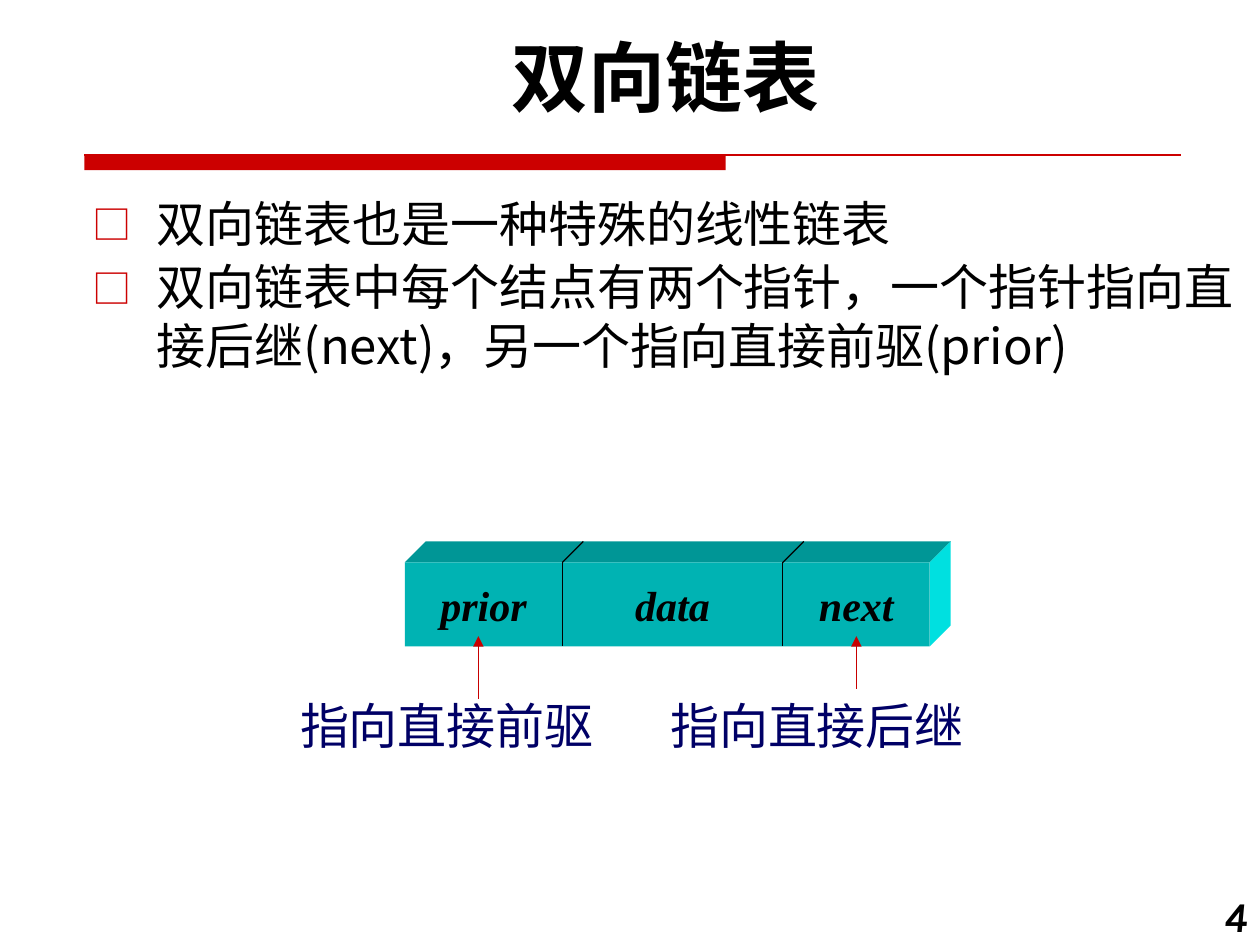
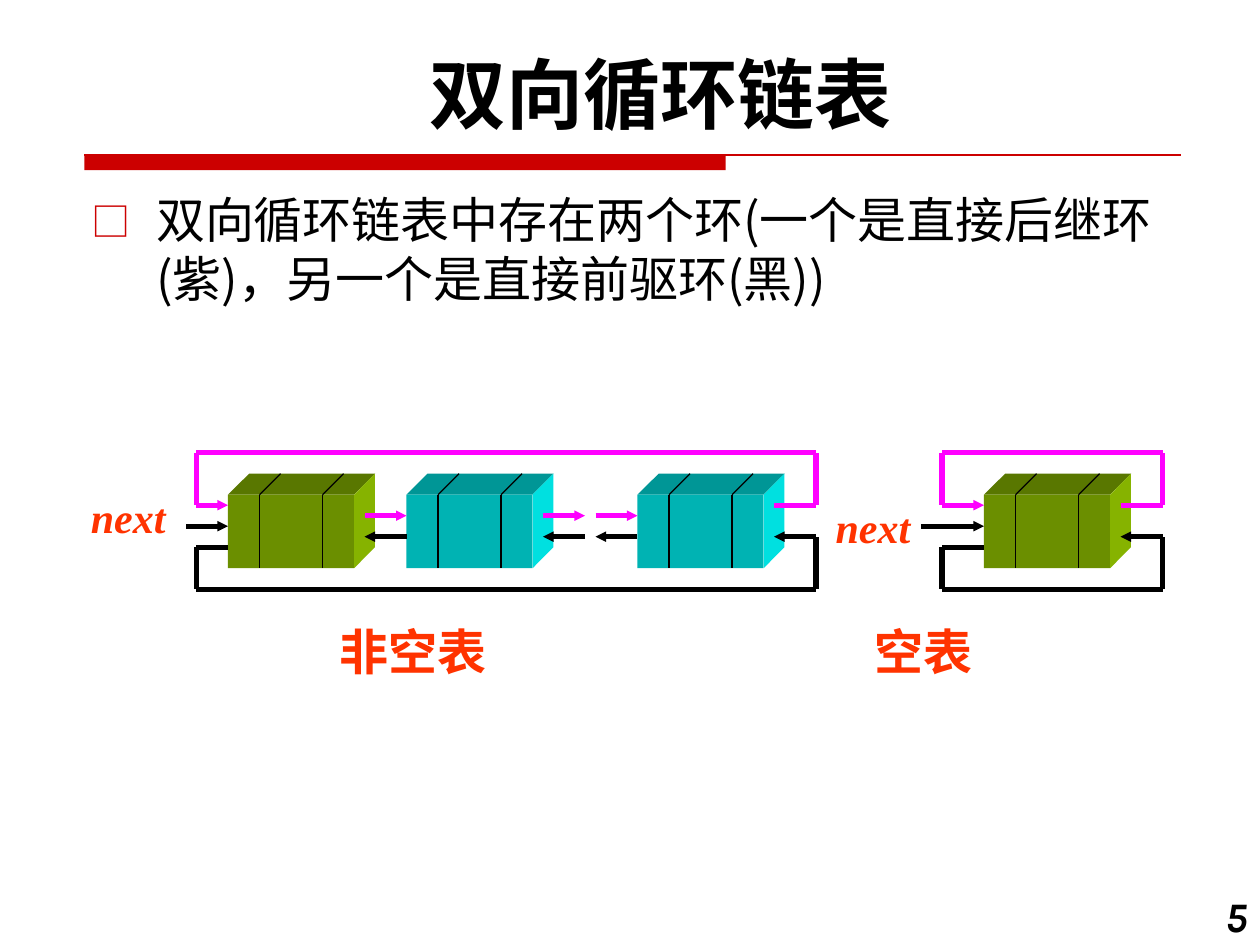
from itertools import accumulate, pairwise

from lxml import etree
from pptx import Presentation
from pptx.dml.color import RGBColor
from pptx.enum.shapes import MSO_CONNECTOR, MSO_SHAPE
from pptx.enum.text import MSO_ANCHOR, MSO_AUTO_SIZE, PP_ALIGN
from pptx.oxml.ns import qn
from pptx.util import Pt

STRAIGHT = MSO_CONNECTOR.STRAIGHT
RECTANGLE = MSO_SHAPE.RECTANGLE
MIDDLE = MSO_ANCHOR.MIDDLE
NO_AUTOFIT = MSO_AUTO_SIZE.NONE
LEFT, CENTER, RIGHT = PP_ALIGN.LEFT, PP_ALIGN.CENTER, PP_ALIGN.RIGHT

BLACK, RED, ARROW_RED = "000000", "CC0000", "C80000"
NAVY, ORANGE, MAGENTA = "000066", "FF3300", "FF00FF"
TEAL = {"front": "00B3B3", "top": "009696", "side": "00E0E0"}
GREEN = {"front": "6B8F00", "top": "597700", "side": "86B300"}
KARLA, CJK, TIMES = "Karla", "Noto Sans CJK SC", "Times New Roman"
DEPTH = 12


def color(hex_string):
    return RGBColor.from_string(hex_string)


def add_run(paragraph, text, size, font, fill, bold=False, italic=False):
    run = paragraph.add_run()
    run.text = text
    run.font.size = Pt(size)
    run.font.name = font
    run.font.bold = bold
    run.font.italic = italic
    run.font.color.rgb = color(fill)
    latin = run.font._element.find(qn("a:latin"))
    latin.addnext(latin.makeelement(qn("a:ea"), {"typeface": CJK}))


def place(shape, left, top, width, height):
    shape.left, shape.top = Pt(left), Pt(top)
    shape.width, shape.height = Pt(width), Pt(height)


def paint(shape, fill):
    shape.shadow.inherit = False
    shape.fill.solid()
    shape.fill.fore_color.rgb = color(fill)
    shape.line.fill.background()


def add_block(slide, left, top, width, height, fill):
    shape = slide.shapes.add_shape(RECTANGLE, Pt(left), Pt(top), Pt(width), Pt(height))
    paint(shape, fill)


def add_face(slide, points, fill):
    start, *rest = [(Pt(x), Pt(y)) for x, y in points]
    builder = slide.shapes.build_freeform(*start)
    builder.add_line_segments(rest, close=True)
    paint(builder.convert_to_shape(), fill)


def add_line(slide, start, end, fill=BLACK, width=0.75, arrow=None):
    connector = slide.shapes.add_connector(STRAIGHT, *map(Pt, (*start, *end)))
    connector.line.color.rgb = color(fill)
    connector.line.width = Pt(width)
    properties = connector._element.spPr
    if arrow:
        etree.SubElement(properties.find(qn("a:ln")), qn("a:tailEnd"),
                         type="triangle", w=arrow, len=arrow)
    etree.SubElement(properties, qn("a:effectLst"))


def add_route(slide, points, fill):
    segments = list(pairwise(points))
    for start, end in segments[:-1]:
        add_line(slide, start, end, fill, 3)
    add_line(slide, *segments[-1], fill, 3, "sm")


def add_label(slide, left, middle, width, text, size, font, fill,
              bold=False, italic=False, align=LEFT):
    height = size * 1.5
    box = slide.shapes.add_textbox(Pt(left), Pt(middle - height / 2), Pt(width), Pt(height))
    frame = box.text_frame
    frame.word_wrap = True
    frame.vertical_anchor = MIDDLE
    frame.margin_left = frame.margin_right = frame.margin_top = frame.margin_bottom = 0
    paragraph = frame.paragraphs[0]
    paragraph.alignment = align
    add_run(paragraph, text, size, font, fill, bold, italic)


def add_node(slide, left, top, widths, height, palette):
    width = sum(widths)
    right, bottom = left + width, top + height
    back_top = top - DEPTH
    add_face(slide, [(left, top), (left + DEPTH, back_top),
                     (right + DEPTH, back_top), (right, top)], palette["top"])
    add_face(slide, [(right, top), (right + DEPTH, back_top),
                     (right + DEPTH, bottom - DEPTH), (right, bottom)], palette["side"])
    add_block(slide, left, top, width, height, palette["front"])
    for offset in accumulate(widths[:-1]):
        x = left + offset
        add_line(slide, (x, top), (x, bottom))
        add_line(slide, (x, top), (x + DEPTH, back_top))


def add_bullet(paragraph):
    properties = paragraph._p.get_or_add_pPr()
    properties.set("marL", str(Pt(37)))
    properties.set("indent", str(-Pt(37)))
    bullet_color = etree.SubElement(properties, qn("a:buClr"))
    etree.SubElement(bullet_color, qn("a:srgbClr"), val=RED)
    etree.SubElement(properties, qn("a:buSzPct"), val="80000")
    etree.SubElement(properties, qn("a:buFont"), typeface=CJK)
    etree.SubElement(properties, qn("a:buChar"), char="□")


def start_slide(presentation, number, title, title_at, bullets, body_at):
    slide = presentation.slides.add_slide(presentation.slide_layouts[1])
    add_block(slide, 48.2, 88.6, 366.5, 8.6, RED)
    add_line(slide, (48.2, 88.6), (674.6, 88.6), RED)

    title_shape = slide.shapes.title
    place(title_shape, *title_at)
    frame = title_shape.text_frame
    frame.auto_size = NO_AUTOFIT
    frame.vertical_anchor = MIDDLE
    frame.paragraphs[0].alignment = CENTER
    add_run(frame.paragraphs[0], title, 44, KARLA, BLACK, bold=True)

    body = slide.placeholders[1]
    place(body, *body_at)
    frame = body.text_frame
    frame.auto_size = NO_AUTOFIT
    for index, (text, font) in enumerate(bullets):
        paragraph = frame.add_paragraph() if index else frame.paragraphs[0]
        add_bullet(paragraph)
        paragraph.line_spacing = Pt(33.5)
        paragraph.space_before = Pt(2.8 if index else 0)
        add_run(paragraph, text, 28, font, BLACK)

    add_label(slide, 672, 523, 40.8, number, 24, KARLA, BLACK, True, True, RIGHT)
    return slide


def build_doubly_linked(presentation):
    slide = start_slide(
        presentation, "4", "双向链表", (47.5, 13, 666, 60.5),
        [("双向链表也是一种特殊的线性链表", TIMES),
         ("双向链表中每个结点有两个指针，一个指针指向直接后继(next)，另一个指向直接前驱(prior)", CJK)],
        (45.4, 107, 686, 114))
    left, top, height = 231.3, 321.4, 48
    widths = (90, 126, 84)
    add_node(slide, left, top, widths, height, TEAL)
    for name, offset, width in zip(("prior", "data", "next"), accumulate(widths, initial=0), widths):
        add_label(slide, left + offset, top + height / 2, width, name, 24, TIMES,
                  BLACK, True, True, CENTER)
    for text, text_left, arrow_x, arrow_start in (("指向直接前驱", 171.5, 273.4, 399.5),
                                                  ("指向直接后继", 383, 489.4, 393.5)):
        add_label(slide, text_left, 414, 180, text, 28, CJK, NAVY)
        add_line(slide, (arrow_x, arrow_start), (arrow_x, 363.5), ARROW_RED, arrow="med")


def add_rings(slide, first_left, last_left, loop_left, top):
    exit_x, loop_right = last_left + 78, last_left + 102
    add_route(slide, [(exit_x, top + 6), (loop_right, top + 6), (loop_right, top - 24),
                      (loop_left, top - 24), (loop_left, top + 6), (first_left, top + 6)], MAGENTA)
    add_route(slide, [(first_left, top + 30), (loop_left, top + 30), (loop_left, top + 54),
                      (loop_right, top + 54), (loop_right, top + 24), (exit_x, top + 24)], BLACK)


def build_circular(presentation):
    slide = start_slide(
        presentation, "5", "双向循环链表", (44.6, 22.5, 666, 60.5),
        [("双向循环链表中存在两个环(一个是直接后继环(紫)，另一个是直接前驱环(黑))", CJK)],
        (45, 105, 686, 84))
    top = 282.7
    head, second, last, empty_head = 130.3, 232.3, 364.3, 562.3
    for left, palette in ((head, GREEN), (second, TEAL), (last, TEAL), (empty_head, GREEN)):
        add_node(slide, left, top, (18, 36, 18), 42, palette)
    for link_left in (head + 78, second + 78, last - 24):
        link_right = link_left + 24
        add_line(slide, (link_left, top + 12), (link_right, top + 12), MAGENTA, 3, "sm")
        add_line(slide, (link_right, top + 24), (link_left, top + 24), BLACK, 3, "sm")
    add_rings(slide, head, last, head - 18, top)
    add_rings(slide, empty_head, empty_head, empty_head - 24, top)
    for left, length in ((head, 24), (empty_head, 36)):
        add_line(slide, (left - length, top + 18), (left, top + 18), BLACK, 3, "sm")
    for left, middle in ((52, 295), (477.5, 301)):
        add_label(slide, left, middle, 50, "next", 24, TIMES, ORANGE, True, True)
    for left, text in ((194, "非空表"), (500, "空表")):
        add_label(slide, left, 372, 100, text, 28, CJK, ORANGE, bold=True)


def main():
    presentation = Presentation()
    presentation.slide_width, presentation.slide_height = Pt(720), Pt(540)
    build_doubly_linked(presentation)
    build_circular(presentation)
    presentation.save("out.pptx")


if __name__ == "__main__":
    main()
